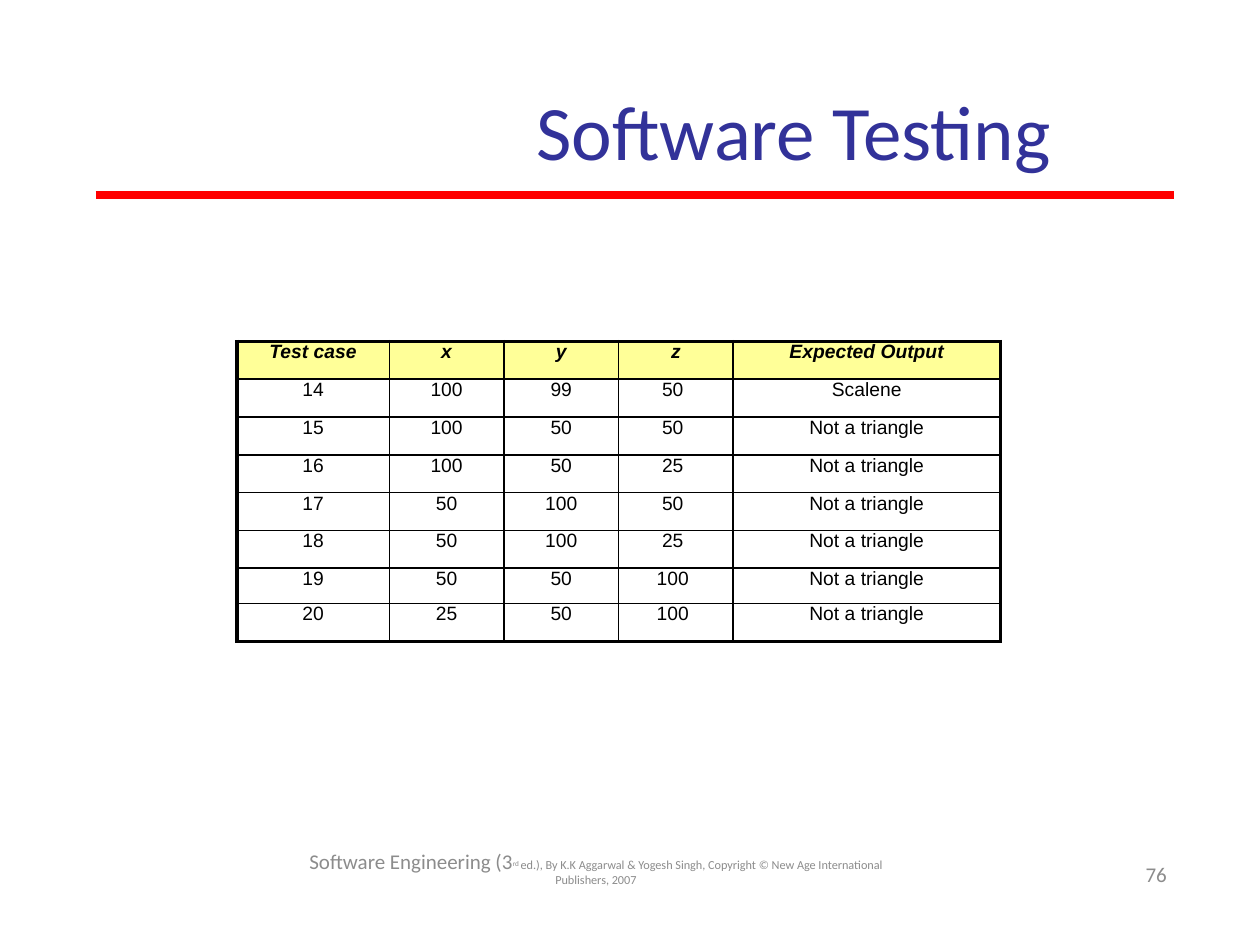
from lxml import etree
from pptx import Presentation
from pptx.dml.color import RGBColor
from pptx.enum.shapes import MSO_CONNECTOR
from pptx.enum.text import MSO_ANCHOR, PP_ALIGN
from pptx.oxml.ns import qn
from pptx.util import Inches, Pt

CENTER, RIGHT = PP_ALIGN.CENTER, PP_ALIGN.RIGHT
MIDDLE = MSO_ANCHOR.MIDDLE
STRAIGHT = MSO_CONNECTOR.STRAIGHT

BLUE = RGBColor(0x32, 0x32, 0x99)
RED = RGBColor(0xFF, 0x00, 0x00)
GRAY = RGBColor(0x8C, 0x8C, 0x8C)
YELLOW = RGBColor(0xFF, 0xFF, 0x98)
BLACK = RGBColor(0x00, 0x00, 0x00)

INNER_BORDER, OUTER_BORDER = 1, 2.25
Z_COLUMN = 3
COLUMN_WIDTHS = [1.21, 0.91, 0.91, 0.91, 2.12]
ROW_HEIGHTS = [0.3] * 6 + [0.28, 0.3]
TEST_CASES = [
    ("Test case", "x", "y", "z", "Expected Output"),
    ("14", "100", "99", "50", "Scalene"),
    ("15", "100", "50", "50", "Not a triangle"),
    ("16", "100", "50", "25", "Not a triangle"),
    ("17", "50", "100", "50", "Not a triangle"),
    ("18", "50", "100", "25", "Not a triangle"),
    ("19", "50", "50", "100", "Not a triangle"),
    ("20", "25", "50", "100", "Not a triangle"),
]


def add_span(para, text, size, color, font="Calibri"):
    span = para.add_run()
    span.text = text
    span.font.name = font
    span.font.size = Pt(size)
    span.font.color.rgb = color
    return span


def add_text_box(slide, left, top, width, height, align, inset_left=0, inset_top=0):
    """Add an empty wrapping box and return its first paragraph."""
    box = slide.shapes.add_textbox(Inches(left), Inches(top), Inches(width), Inches(height))
    frame = box.text_frame
    frame.word_wrap = True
    frame.vertical_anchor = MIDDLE
    frame.margin_left, frame.margin_top = Inches(inset_left), Inches(inset_top)
    frame.margin_right = frame.margin_bottom = 0
    para = frame.paragraphs[0]
    para.alignment = align
    return para


def add_title(slide):
    para = add_text_box(slide, 0.5, 0.45, 9, 0.95, CENTER, inset_left=2.6, inset_top=0.21)
    add_span(para, "Software Testing", 44, BLUE)


def add_title_rule(slide):
    rule = slide.shapes.add_connector(
        STRAIGHT, Inches(0.76), Inches(1.55), Inches(9.32), Inches(1.55))
    rule.line.color.rgb = RED
    rule.line.width = Pt(4.5)
    etree.SubElement(rule._element.spPr, qn("a:effectLst"))


def set_borders(cell, widths):
    """Draw black borders; widths are points for left, right, top and bottom."""
    properties = cell._tc.get_or_add_tcPr()
    for side, width in zip("LRTB", widths):
        line = etree.SubElement(properties, qn(f"a:ln{side}"), w=str(Pt(width)))
        fill = etree.SubElement(line, qn("a:solidFill"))
        etree.SubElement(fill, qn("a:srgbClr"), val=str(BLACK))


def fill_cell(cell, text, is_header):
    cell.margin_left = cell.margin_right = cell.margin_top = cell.margin_bottom = 0
    para = cell.text_frame.paragraphs[0]
    para.alignment = CENTER
    span = add_span(para, text, 11, BLACK, "Arial")
    span.font.bold = span.font.italic = is_header
    if is_header:
        cell.fill.solid()
        cell.fill.fore_color.rgb = YELLOW
    else:
        cell.fill.background()


def add_test_case_table(slide):
    row_count, column_count = len(ROW_HEIGHTS), len(COLUMN_WIDTHS)
    table = slide.shapes.add_table(
        row_count, column_count, Inches(1.88), Inches(2.71),
        Inches(sum(COLUMN_WIDTHS)), Inches(sum(ROW_HEIGHTS))).table
    table.first_row = table.horz_banding = False
    for column, width in zip(table.columns, COLUMN_WIDTHS):
        column.width = Inches(width)
    for row, height in zip(table.rows, ROW_HEIGHTS):
        row.height = Inches(height)

    for r, values in enumerate(TEST_CASES):
        for c, value in enumerate(values):
            cell = table.cell(r, c)
            on_edge = (c == 0, c == column_count - 1, r == 0, r == row_count - 1)
            set_borders(cell, [OUTER_BORDER if edge else INNER_BORDER for edge in on_edge])
            fill_cell(cell, value, is_header=r == 0)
            if c == Z_COLUMN and r > 0:
                cell.margin_right = Inches(0.05)


def add_page_number(slide):
    para = add_text_box(slide, 8.34, 6.47, 0.92, 0.66, RIGHT, inset_top=0.29)
    para.line_spacing = Pt(13.2)
    add_span(para, "76", 12, GRAY)


def add_footer(slide):
    para = add_text_box(slide, 2.26, 6.82, 4.94, 0.22, CENTER)
    para.line_spacing = Pt(7.8)
    add_span(para, "Software Engineering (3", 12, GRAY)
    ordinal = add_span(para, "rd ", 7, GRAY)
    ordinal.font._element.set("baseline", "22000")
    add_span(para, "ed.), By K.K Aggarwal & Yogesh Singh, Copyright © New Age "
                   "International Publishers, 2007", 7, GRAY)


def main():
    deck = Presentation()
    deck.slide_width, deck.slide_height = Inches(10), Inches(7.5)
    slide = deck.slides.add_slide(deck.slide_layouts[6])
    add_title(slide)
    add_title_rule(slide)
    add_test_case_table(slide)
    add_page_number(slide)
    add_footer(slide)
    deck.save("out.pptx")


if __name__ == "__main__":
    main()
